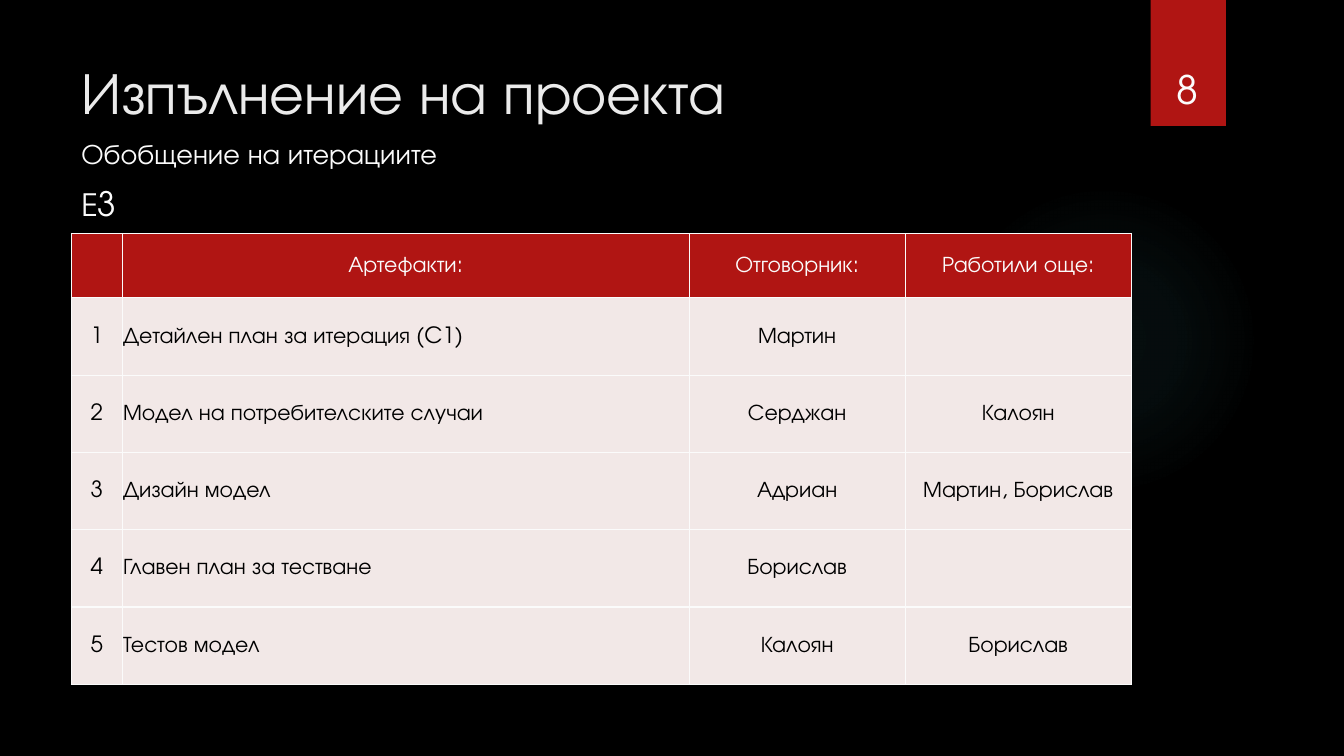
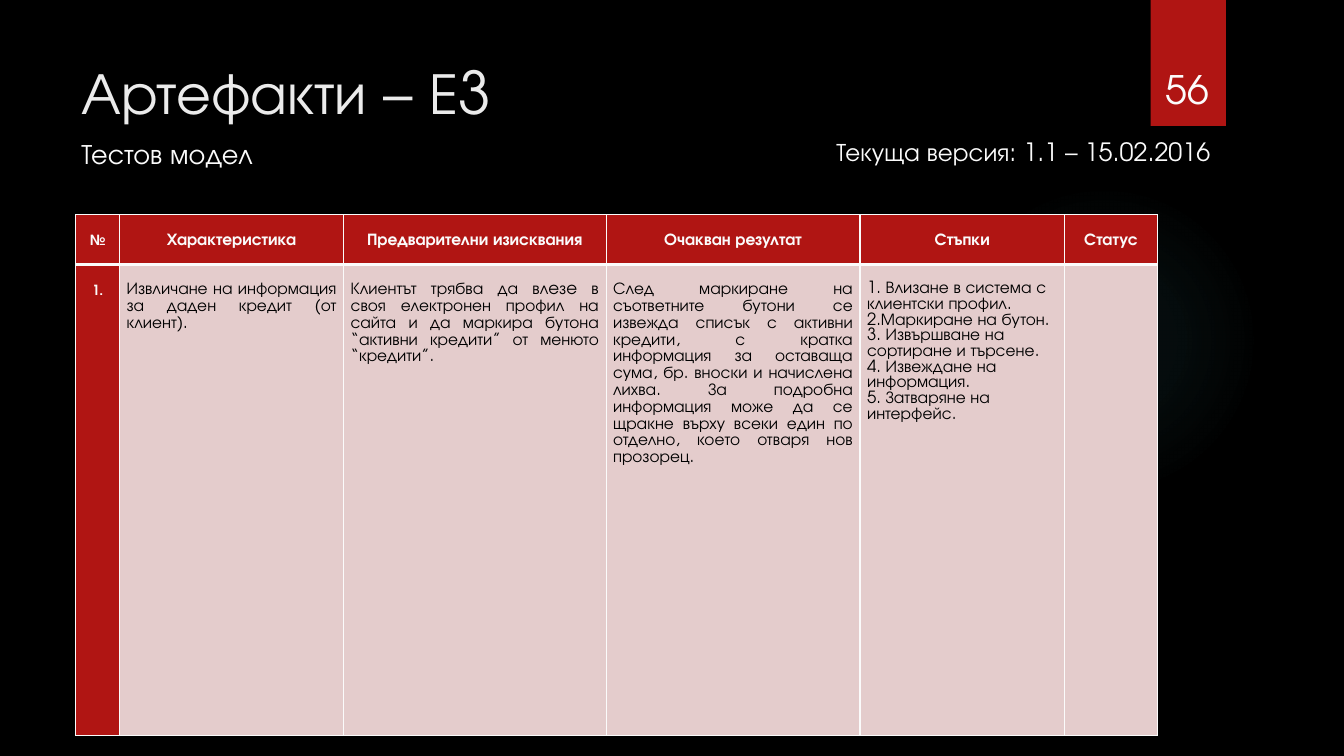
import pptx
import pptx.dml.color
import pptx.enum.shapes
import pptx.enum.text
import pptx.oxml
import pptx.oxml.ns
import pptx.util

Pt = pptx.util.Pt
ALIGN = pptx.enum.text.PP_ALIGN
ANCHOR = pptx.enum.text.MSO_ANCHOR
SHAPE = pptx.enum.shapes.MSO_SHAPE

FONT = "TeX Gyre Adventor"
BLACK = "000000"
WHITE = "FBFBFB"
TITLE_COLOR = "EBEBEB"
NUMBER_COLOR = "FCFCFC"
RED = "B01513"
GLOW = "50B9C1"
PALE = "F2E8E7"
PINK = "E4CCCC"
LEFT = 51


def color(value):
    """Return the colour for a hex string."""
    return pptx.dml.color.RGBColor.from_string(value)


def paint(fill, value):
    """Fill with one solid colour."""
    fill.solid()
    fill.fore_color.rgb = color(value)


def write_text(frame, text, size=16, fill=WHITE, bold=False, align=ALIGN.LEFT,
               anchor=ANCHOR.TOP, line_spacing=None, margins=None):
    """Write each line of text as a formatted paragraph."""
    frame.word_wrap = True
    frame.vertical_anchor = anchor
    if margins:
        (frame.margin_left, frame.margin_top,
         frame.margin_right, frame.margin_bottom) = map(Pt, margins)
    for index, line in enumerate(text.split("\n")):
        paragraph = frame.add_paragraph() if index else frame.paragraphs[0]
        paragraph.alignment = align
        if line_spacing:
            paragraph.line_spacing = Pt(line_spacing)
        run = paragraph.add_run()
        run.text = line
        run.font.name = FONT
        run.font.size = Pt(size)
        run.font.bold = bold
        run.font.color.rgb = color(fill)


def add_text(slide, text, left, top, width, height, **text_format):
    """Add a text box."""
    box = slide.shapes.add_textbox(Pt(left), Pt(top), Pt(width), Pt(height))
    write_text(box.text_frame, text, **text_format)


def add_plain_shape(slide, kind, left, top, width, height):
    """Add a preset shape without line or shadow."""
    shape = slide.shapes.add_shape(kind, Pt(left), Pt(top), Pt(width), Pt(height))
    shape.shadow.inherit = False
    shape.line.fill.background()
    return shape


def add_glow(slide):
    """Add the faint round light on the right."""
    shape = add_plain_shape(slide, SHAPE.OVAL, 677.5, 131.8, 221.8, 221.8)
    stops = "".join(
        f'<a:gs pos="{position}000"><a:srgbClr val="{GLOW}">'
        f'<a:alpha val="{alpha}000"/></a:srgbClr></a:gs>'
        for position, alpha in ((0, 7), (36, 6), (69, 0)))
    gradient = pptx.oxml.parse_xml(
        f'<a:gradFill {pptx.oxml.ns.nsdecls("a")} rotWithShape="1">'
        f'<a:gsLst>{stops}</a:gsLst><a:path path="circle">'
        '<a:fillToRect l="50000" t="50000" r="50000" b="50000"/>'
        '</a:path></a:gradFill>')
    shape.fill.background()
    properties = shape.fill._xPr
    properties.replace(properties.find(pptx.oxml.ns.qn("a:noFill")), gradient)


def add_base_slide(presentation, title, subtitle, number):
    """Add a slide with title, subtitle, glow and numbered band."""
    slide = presentation.slides.add_slide(presentation.slide_layouts[5])
    slide.background.fill.solid()
    slide.background.fill.fore_color.rgb = color(BLACK)
    add_glow(slide)
    band = add_plain_shape(slide, SHAPE.RECTANGLE, 822, 0, 53.7, 90)
    paint(band.fill, RED)
    heading = slide.shapes.title
    heading.left, heading.top = Pt(LEFT), Pt(36)
    heading.width, heading.height = Pt(741), Pt(110)
    heading.text_frame.auto_size = pptx.enum.text.MSO_AUTO_SIZE.NONE
    write_text(heading.text_frame, title, size=42, fill=TITLE_COLOR)
    add_text(slide, subtitle, LEFT, 93.6, 410, 31.5, size=20)
    add_text(slide, number, 815, 23, 66.3, 60.5, size=28, fill=NUMBER_COLOR,
             align=ALIGN.CENTER, anchor=ANCHOR.BOTTOM)
    return slide


def set_borders(cell, top=1, bottom=1):
    """Draw the four cell borders, with widths in points."""
    properties = cell._tc.get_or_add_tcPr()
    for side, width in (("L", 1), ("R", 1), ("T", top), ("B", bottom)):
        properties.append(pptx.oxml.parse_xml(
            f'<a:ln{side} {pptx.oxml.ns.nsdecls("a")} w="{Pt(width)}">'
            f'<a:solidFill><a:srgbClr val="{WHITE}"/></a:solidFill></a:ln{side}>'))


def add_table(slide, rows, left, top, widths, heights, style_cell, rule=1):
    """Add a table; style_cell gives fill and text format for a row and column."""
    frame = slide.shapes.add_table(len(rows), len(widths), Pt(left), Pt(top),
                                   Pt(sum(widths)), Pt(sum(heights)))
    table = frame.table
    table.first_row = table.horz_banding = False
    for column, width in zip(table.columns, widths):
        column.width = Pt(width)
    for row, height in zip(table.rows, heights):
        row.height = Pt(height)
    for row_index, row in enumerate(rows):
        for column_index, text in enumerate(row):
            cell = table.cell(row_index, column_index)
            set_borders(cell, top=rule if row_index == 1 else 1,
                        bottom=rule if row_index == 0 else 1)
            fill, text_format = style_cell(row_index, column_index)
            paint(cell.fill, fill)
            if text:
                write_cell(cell, text, **text_format)


def write_cell(cell, text, margins, anchor=ANCHOR.TOP, **text_format):
    """Write text in a table cell with its own margins and anchor."""
    (cell.margin_left, cell.margin_top,
     cell.margin_right, cell.margin_bottom) = map(Pt, margins)
    write_text(cell.text_frame, text, **text_format)
    cell.vertical_anchor = anchor


def style_summary(row, column):
    """Return fill and text format for the iteration summary."""
    header = row == 0
    left = column == 1 and not header
    return RED if header else PALE, dict(
        margins=(0.7, 0.7, 0.7, 0), anchor=ANCHOR.MIDDLE,
        fill=WHITE if header else BLACK,
        align=ALIGN.LEFT if left else ALIGN.CENTER)


def style_test(row, column):
    """Return fill and text format for the test model."""
    strong = row == 0 or column == 0
    steps = column == 4 and not strong
    body_align = ALIGN.LEFT if steps else ALIGN.JUSTIFY
    return RED if strong else PINK, dict(
        margins=(5, 12, 5, 0), size=10 if column == 0 else 12, bold=strong,
        fill=WHITE if strong else BLACK,
        line_spacing=11.2 if steps else 12,
        align=ALIGN.CENTER if strong else body_align)


def add_summary_slide(presentation):
    """Add the slide that sums up the iteration."""
    slide = add_base_slide(presentation, "Изпълнение на проекта",
                           "Обобщение на итерациите", "8")
    add_text(slide, "Е3", LEFT, 127.4, 60, 36, size=24)
    rows = [
        ("", "Артефакти:", "Отговорник:", "Работили още:"),
        ("1", "Детайлен план за итерация (C1)", "Мартин", ""),
        ("2", "Модел на потребителските случаи", "Серджан", "Калоян"),
        ("3", "Дизайн модел", "Адриан", "Мартин, Борислав"),
        ("4", "Главен план за тестване", "Борислав", ""),
        ("5", "Тестов модел", "Калоян", "Борислав"),
    ]
    add_table(slide, rows, LEFT, 167, (36.3, 405, 154.3, 161.6),
              [45.8] + [55.2] * 5, style_summary)


def add_test_slide(presentation):
    """Add the slide with the test model."""
    slide = add_base_slide(presentation, "Артефакти – Е3", "Тестов модел", "56")
    add_text(slide, "Текуща версия: 1.1 – 15.02.2016", 590.4, 93.6, 297.4, 29,
             size=18)
    steps = "\n".join((
        "1. Влизане в система с клиентски профил.",
        "2.Маркиране на бутон.",
        "3. Извършване на сортиране и търсене.",
        "4. Извеждане на информация.",
        "5. Затваряне на интерфейс.",
    ))
    rows = [
        ("№", "Характеристика", "Предварителни изисквания",
         "Очакван резултат", "Стъпки", "Статус"),
        ("1.",
         "Извличане на информация за даден кредит (от клиент).",
         "Клиентът трябва да влeзe в своя електронен профил на сайта и да "
         "маркира бутона “активни кредити” от менюто “кредити”.",
         "След маркиране на съответните бутони се извежда списък с активни "
         "кредити, с кратка информация за оставаща сума, бр. вноски и "
         "начислена лихва. За подробна информация може да се щракне върху "
         "всеки един по отделно, което отваря нов прозорец.",
         steps, ""),
    ]
    add_table(slide, rows, 54, 153.4, (31.5, 160, 187.5, 181.4, 146, 66.4),
              (35.5, 336.2), style_test, rule=3)


def main():
    """Build and save the presentation."""
    presentation = pptx.Presentation()
    presentation.slide_width, presentation.slide_height = Pt(960), Pt(540)
    add_summary_slide(presentation)
    add_test_slide(presentation)
    presentation.save("out.pptx")


if __name__ == "__main__":
    main()
